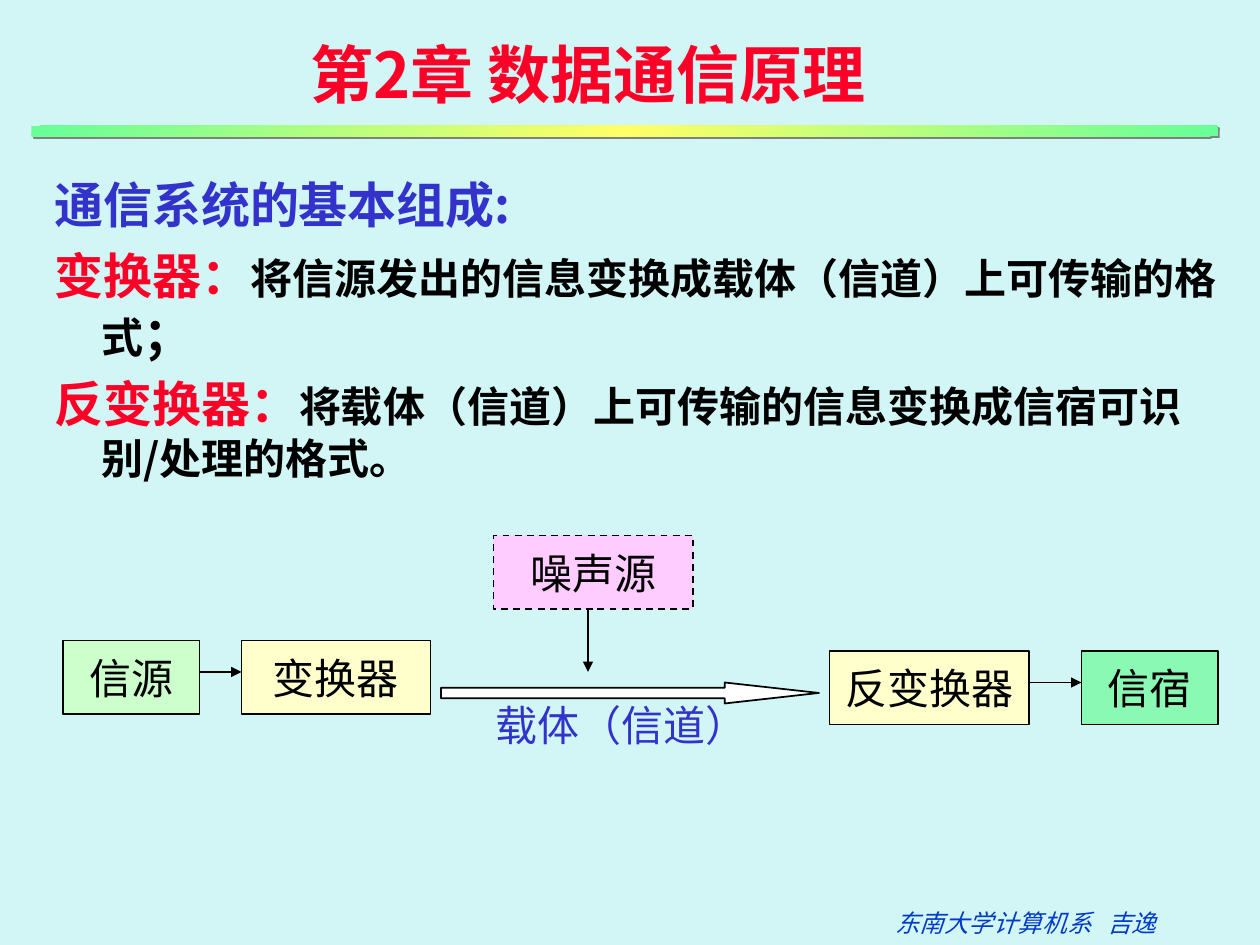
"""Build a slide on the basic parts of a data communication system."""
from copy import deepcopy

from lxml.etree import SubElement
from pptx import Presentation
from pptx.dml.color import RGBColor
from pptx.enum.dml import MSO_LINE
from pptx.enum.shapes import MSO_CONNECTOR, MSO_SHAPE
from pptx.enum.text import MSO_ANCHOR, PP_ALIGN
from pptx.oxml.ns import qn
from pptx.util import Pt

SANS, SERIF = "Noto Sans CJK SC", "Times New Roman"
BLACK, RED, BLUE = "000000", "FC0128", "3333CC"


def rgb(color):
    return RGBColor.from_string(color)


def add_text(paragraph, text, size=24, color=BLACK, font=SERIF, bold=False, italic=False):
    run = paragraph.add_run()
    run.text = text
    run.font.size, run.font.bold, run.font.italic = Pt(size), bold, italic
    run.font.name = font
    run.font.color.rgb = rgb(color)
    SubElement(run.font._element, qn("a:ea"), typeface=SANS)


prs = Presentation()
prs.slide_width, prs.slide_height = Pt(720), Pt(540)
slide = prs.slides.add_slide(prs.slide_layouts[6])
slide.background.fill.solid()
slide.background.fill.fore_color.rgb = rgb("D2F6F5")
shapes = slide.shapes

title = shapes.add_textbox(Pt(30), Pt(24), Pt(612), Pt(36)).text_frame
title.word_wrap = True
title.vertical_anchor = MSO_ANCHOR.MIDDLE
title.paragraphs[0].alignment = PP_ALIGN.CENTER
add_text(title.paragraphs[0], "第2章 数据通信原理", size=36, color=RED, font=SANS, bold=True)

divider = shapes.add_shape(MSO_SHAPE.RECTANGLE, Pt(18), Pt(72), Pt(678), Pt(6))
divider.line.fill.background()
divider.fill.gradient()
divider.fill.gradient_angle = 135
first_stop = divider.fill.gradient_stops[0]._gs
first_stop.addnext(deepcopy(first_stop))
for stop, position, color in zip(divider.fill.gradient_stops, (0, 0.5, 1), ("66FF99", "FFFF66", "66FF99")):
    stop.position = position
    stop.color.rgb = rgb(color)
divider.shadow.inherit = False
effects = divider._element.spPr.find(qn("a:effectLst"))
shadow = SubElement(effects, qn("a:outerShdw"), dist=str(Pt(1.4)), dir="2700000", algn="ctr", rotWithShape="0")
SubElement(shadow, qn("a:srgbClr"), val="808080")

body = shapes.add_textbox(Pt(24), Pt(96), Pt(678), Pt(204)).text_frame
body.word_wrap = True
definitions = [
    (0, [("通信系统的基本组成:", 28, BLUE)]),
    (7, [("变换器：", 28, RED), ("将信源发出的信息变换成载体（信道）上可传输的格式", 24, BLACK), ("；", 28, BLACK)]),
    (6, [("反变换器：", 28, RED), ("将载体（信道）上可传输的信息变换成信宿可识别/处理的格式。", 24, BLACK)]),
]
for index, (space, parts) in enumerate(definitions):
    paragraph = body.add_paragraph() if index else body.paragraphs[0]
    paragraph.space_before = Pt(space)
    properties = paragraph._p.get_or_add_pPr()
    properties.set("marL", str(Pt(27)))
    properties.set("indent", str(Pt(-27)))
    for text, size, color in parts:
        add_text(paragraph, text, size=size, color=color, font=SANS, bold=True)

stations = [
    ("信源", 36, 366, 78, "CCFFCC"),
    ("变换器", 138, 366, 108, "FFFFCC"),
    ("噪声源", 282, 306, 114, "FFCCFF"),
    ("反变换器", 474, 372, 114, "FFFFCC"),
    ("信宿", 618, 372, 78, "89F9B4"),
]
for label, left, top, width, color in stations:
    station = shapes.add_shape(MSO_SHAPE.RECTANGLE, Pt(left), Pt(top), Pt(width), Pt(42))
    station.shadow.inherit = False
    station.fill.solid()
    station.fill.fore_color.rgb = rgb(color)
    station.line.color.rgb = rgb(BLACK)
    station.line.width = Pt(1)
    if label == "噪声源":
        station.line.dash_style = MSO_LINE.DASH
    station.text_frame.word_wrap = False
    station.text_frame.vertical_anchor = MSO_ANCHOR.MIDDLE
    station.text_frame.paragraphs[0].alignment = PP_ALIGN.CENTER
    add_text(station.text_frame.paragraphs[0], label)

channel = shapes.add_shape(MSO_SHAPE.RIGHT_ARROW, Pt(252), Pt(390), Pt(216), Pt(12))
channel.adjustments[0], channel.adjustments[1] = 0.5, 4.49
channel.shadow.inherit = False
channel.fill.solid()
channel.fill.fore_color.rgb = rgb("FFFFFF")
channel.line.color.rgb = rgb(BLACK)
channel.line.width = Pt(1)

carrier = shapes.add_textbox(Pt(276), Pt(396), Pt(162), Pt(36)).text_frame
carrier.word_wrap = True
add_text(carrier.paragraphs[0], "载体（信道）", color=BLUE)

for x1, y1, x2, y2 in [(336, 348, 336, 384), (114, 384, 138, 384), (588, 390, 618, 390)]:
    signal = shapes.add_connector(MSO_CONNECTOR.STRAIGHT, Pt(x1), Pt(y1), Pt(x2), Pt(y2))
    signal.line.color.rgb = rgb(BLACK)
    signal.line.width = Pt(1)
    SubElement(signal.line._get_or_add_ln(), qn("a:tailEnd"), type="triangle")
    SubElement(signal._element.spPr, qn("a:effectLst"))

footer = shapes.add_textbox(Pt(504.5), Pt(515.5), Pt(164), Pt(24.5)).text_frame
footer.word_wrap = False
tabs = SubElement(footer.paragraphs[0]._p.get_or_add_pPr(), qn("a:tabLst"))
SubElement(tabs, qn("a:tab"), pos=str(Pt(121)), algn="l")
add_text(footer.paragraphs[0], "东南大学计算机系\t吉逸", size=14, color="023BCA", italic=True)

prs.save("out.pptx")
